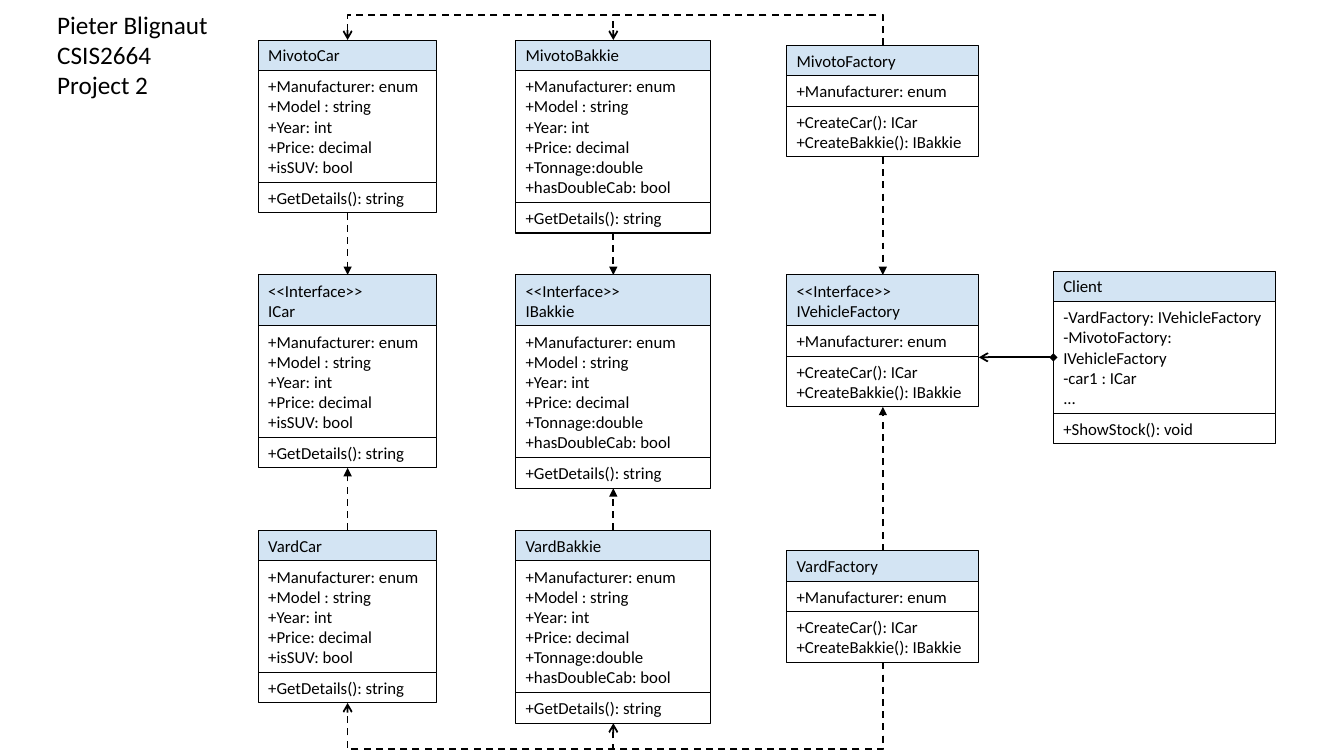
from dataclasses import dataclass

from lxml.etree import SubElement
from pptx import Presentation
from pptx.dml.color import RGBColor
from pptx.enum.dml import MSO_LINE_DASH_STYLE as Dash
from pptx.enum.shapes import MSO_CONNECTOR as Connector, MSO_SHAPE as Shape
from pptx.enum.text import MSO_ANCHOR as Anchor, MSO_AUTO_SIZE as AutoSize, PP_ALIGN as Align
from pptx.oxml.ns import qn
from pptx.util import Pt


@dataclass(frozen=True)
class Theme:
    font: str = "Calibri"
    title_size: float = 18
    body_size: float = 12
    ink: RGBColor = RGBColor(0, 0, 0)
    header: RGBColor = RGBColor(0xBD, 0xD7, 0xEE)
    body: RGBColor = RGBColor(0xFF, 0xFF, 0xFF)
    opacity: int = 66
    border: float = 0.75
    arrow: float = 1.25


THEME = Theme()

TITLE = ["Pieter Blignaut", "CSIS2664", "Project 2"]
COMMON = ["+Manufacturer: enum", "+Model : string", "+Year: int", "+Price: decimal"]
DETAILS = ["+GetDetails(): string"]
CAR = [COMMON + ["+isSUV: bool"], DETAILS]
BAKKIE = [COMMON + ["+Tonnage:double", "+hasDoubleCab: bool"], DETAILS]
FACTORY = [["+Manufacturer: enum"], ["+CreateCar(): ICar", "+CreateBakkie(): IBakkie"]]
CLIENT = [
    ["-VardFactory: IVehicleFactory", "-MivotoFactory: IVehicleFactory", "-car1 : ICar", "..."],
    ["+ShowStock(): void"],
]

INTERFACE = "<<Interface>>"
COLUMNS = [
    (184.5, 127.6, CAR, [("MivotoCar", 28.6), ("ICar", 196.4), ("VardCar", 378.8)]),
    (368.4, 139.4, BAKKIE, [("MivotoBakkie", 28.6), ("IBakkie", 196.4), ("VardBakkie", 378.8)]),
    (562, 137.2, FACTORY,
     [("MivotoFactory", 32.4), ("IVehicleFactory", 196.4), ("VardFactory", 393.4)]),
    (752.4, 159, CLIENT, [("Client", 193.6)]),
]
INTERFACES = ["ICar", "IBakkie", "IVehicleFactory"]
WRAPPED_LINE = "-MivotoFactory: IVehicleFactory"

REALIZATIONS = [(brand + kind, "I" + ("Vehicle" if kind == "Factory" else "") + kind)
                for kind in ("Car", "Bakkie", "Factory") for brand in ("Mivoto", "Vard")]
CREATIONS = [(brand, kind) for brand in ("Mivoto", "Vard") for kind in ("Bakkie", "Car")]

LINE_HEIGHT, PADDING = 14.53, 7.2
TOP_BUS, BOTTOM_BUS = 10.8, 535
TOP, LEFT, BOTTOM = 0, 1, 2

presentation = Presentation()
presentation.slide_width, presentation.slide_height = Pt(960), Pt(540)
slide = presentation.slides.add_slide(presentation.slide_layouts[6])


def write(shape, lines, size=THEME.body_size, wrap=True, anchor=Anchor.MIDDLE):
    frame = shape.text_frame
    frame.word_wrap, frame.vertical_anchor = wrap, anchor
    frame.auto_size = AutoSize.SHAPE_TO_FIT_TEXT
    frame.text = "\n".join(lines)
    for paragraph in frame.paragraphs:
        paragraph.alignment = Align.LEFT
        font = paragraph.runs[0].font
        font.name, font.size = THEME.font, Pt(size)
        font.color.rgb = THEME.ink


def add_class(name, left, top, width, members):
    group = slide.shapes.add_group_shape()
    header = [INTERFACE, name] if name in INTERFACES else [name]
    parts = []
    for lines in [header] + members:
        height = PADDING + LINE_HEIGHT * (len(lines) + lines.count(WRAPPED_LINE))
        part = group.shapes.add_shape(Shape.RECTANGLE, Pt(left), Pt(top), Pt(width), Pt(height))
        part.shadow.inherit = False
        part.fill.solid()
        part.fill.fore_color.rgb = THEME.body if parts else THEME.header
        color = part.fill._xPr.find(qn("a:solidFill"))[0]
        SubElement(color, qn("a:alpha"), val=str(THEME.opacity * 1000))
        part.line.color.rgb, part.line.width = THEME.ink, Pt(THEME.border)
        write(part, lines)
        parts.append(part)
        top += height
    return parts


def add_arrow(kind, start, end, tail, head=None, dashed=True):
    connector = slide.shapes.add_connector(kind, *(Pt(value) for value in start + end))
    connector.line.color.rgb, connector.line.width = THEME.ink, Pt(THEME.arrow)
    if dashed:
        connector.line.dash_style = Dash.DASH
    line = connector.line._get_or_add_ln()
    if head:
        SubElement(line, qn("a:headEnd"), type=head)
    SubElement(line, qn("a:tailEnd"), type=tail)
    SubElement(connector._element.spPr, qn("a:effectLst"))
    return connector


def add_loop(start, end, bus):
    (x1, y1), (x2, y2) = start, end
    width, height = abs(y2 - y1), abs(x2 - x1)
    left, top = (x1 + x2 - width) / 2, (y1 + y2 - height) / 2
    connector = add_arrow(Connector.ELBOW, (left, top), (left + width, top + height), "arrow")
    properties = connector._element.spPr
    transform = properties.find(qn("a:xfrm"))
    transform.set("rot", str((90 if y2 > y1 else 270) * 60000))
    if y2 < y1:
        transform.set("flipV", "1")
    guides = properties.find(qn("a:prstGeom")).find(qn("a:avLst"))
    bend = round((bus - y1) / (y2 - y1) * 100000)
    SubElement(guides, qn("a:gd"), name="adj1", fmla=f"val {bend}")


def edge(name, site):
    part = classes[name][0 if site == TOP else -1]
    y = part.top if site == TOP else part.top + part.height
    return (part.left + part.width / 2) / Pt(1), y / Pt(1)


title = slide.shapes.add_textbox(Pt(33.8), Pt(2.9), Pt(123), Pt(72.7))
write(title, TITLE, size=THEME.title_size, wrap=False, anchor=Anchor.TOP)

classes = {name: add_class(name, left, top, width, members)
           for left, width, members, entries in COLUMNS for name, top in entries}

for source, target in REALIZATIONS:
    downward = source.startswith("Mivoto")
    start_site, end_site = (BOTTOM, TOP) if downward else (TOP, BOTTOM)
    realization = add_arrow(Connector.STRAIGHT, edge(source, start_site),
                            edge(target, end_site), "triangle")
    realization.begin_connect(classes[source][0 if start_site == TOP else -1], start_site)
    realization.end_connect(classes[target][0 if end_site == TOP else -1], end_site)

for brand, kind in CREATIONS:
    site, bus = (TOP, TOP_BUS) if brand == "Mivoto" else (BOTTOM, BOTTOM_BUS)
    add_loop(edge(brand + "Factory", site), edge(brand + kind, site), bus)

fields = classes["Client"][1]
methods = classes["IVehicleFactory"][-1]
level = (fields.top + fields.height / 2) / Pt(1)
usage = add_arrow(Connector.STRAIGHT, (fields.left / Pt(1), level),
                  ((methods.left + methods.width) / Pt(1), level), "arrow", "diamond", dashed=False)
usage.begin_connect(fields, LEFT)

presentation.save("out.pptx")
